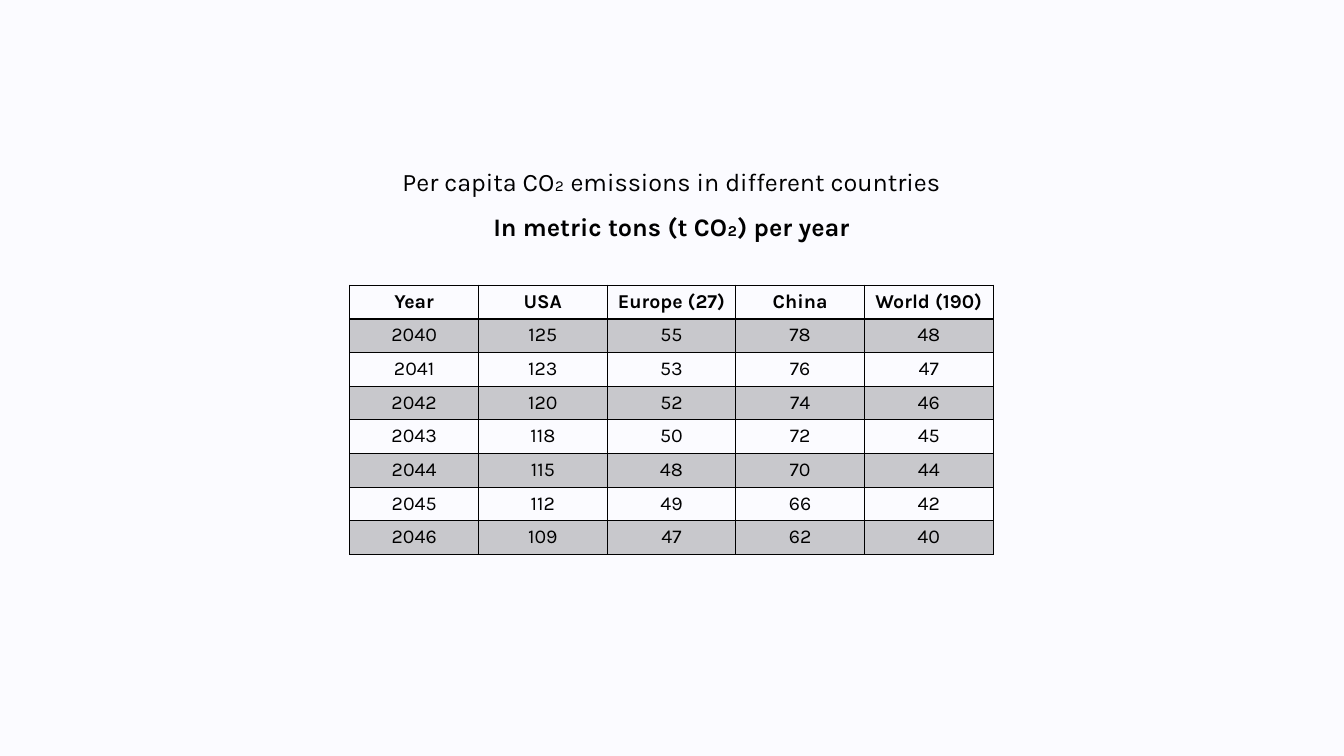
"""Builds a slide with a table of per capita CO₂ emissions."""
import pptx
import pptx.dml.color
import pptx.enum.text
import pptx.oxml
import pptx.oxml.ns
import pptx.util
from pptx.util import Inches

HEADINGS = [
    ("Per capita CO₂ emissions in different countries", 1.6, False),
    ("In metric tons (t CO₂) per year", 2.05, True),
]
ROWS = [
    ("Year", "USA", "Europe (27)", "China", "World (190)"),
    (2040, 125, 55, 78, 48),
    (2041, 123, 53, 76, 47),
    (2042, 120, 52, 74, 46),
    (2043, 118, 50, 72, 45),
    (2044, 115, 48, 70, 44),
    (2045, 112, 49, 66, 42),
    (2046, 109, 47, 62, 40),
]
FONT, BLACK, BACKGROUND = "Karla", "000000", "FBFBFF"
LEFT, WIDTH, HEADING_HEIGHT = 3.47, 6.38, 0.4
TABLE_TOP, TABLE_HEIGHT, ROW_HEIGHT = 2.83, 2.67, 0.28
BAND_OPACITY = 20


def rgb(color):
    return pptx.dml.color.RGBColor.from_string(color)


def write(tf, text, size, bold):
    tf.text = text
    p = tf.paragraphs[0]
    p.alignment = pptx.enum.text.PP_ALIGN.CENTER
    p.space_before = pptx.util.Pt(0)
    p.line_spacing = 1.0
    font = p.runs[0].font
    font.name, font.size, font.bold = FONT, pptx.util.Pt(size), bold
    font.color.rgb = rgb(BLACK)


def add_heading(sp, text, top, bold):
    sp.left, sp.top = Inches(LEFT), Inches(top)
    sp.width, sp.height = Inches(WIDTH), Inches(HEADING_HEIGHT)
    tf = sp.text_frame
    write(tf, text, 18, bold)
    tf.word_wrap = True
    tf.auto_size = pptx.enum.text.MSO_AUTO_SIZE.SHAPE_TO_FIT_TEXT
    tf.vertical_anchor = pptx.enum.text.MSO_ANCHOR.TOP


def set_borders(cell, bottom):
    pr = cell._tc.get_or_add_tcPr()
    for i, (side, points) in enumerate(zip("LRTB", (1, 1, 1, bottom))):
        pr.insert(i, pptx.oxml.parse_xml(
            f'<a:ln{side} {pptx.oxml.ns.nsdecls("a")} w="{pptx.util.Pt(points)}">'
            f'<a:solidFill><a:srgbClr val="{BLACK}"/></a:solidFill></a:ln{side}>'))


def set_fill(cell, banded):
    if not banded:
        cell.fill.background()
        return
    cell.fill.solid()
    cell.fill.fore_color.rgb = rgb(BLACK)
    color = cell._tc.tcPr.find(pptx.oxml.ns.qn("a:solidFill"))[0]
    color.append(pptx.oxml.parse_xml(
        f'<a:alpha {pptx.oxml.ns.nsdecls("a")} val="{BAND_OPACITY * 1000}"/>'))


def add_emissions_table(s):
    frame = s.shapes.add_table(len(ROWS), len(ROWS[0]), Inches(LEFT), Inches(TABLE_TOP),
                               Inches(WIDTH), Inches(TABLE_HEIGHT))
    table = frame.table
    table.first_row = table.horz_banding = False
    for i, values in enumerate(ROWS):
        header = i == 0
        table.rows[i].height = Inches(ROW_HEIGHT)
        for j, value in enumerate(values):
            cell = table.cell(i, j)
            write(cell.text_frame, str(value), 14, header)
            set_fill(cell, i % 2 == 1)
            set_borders(cell, 2 if header else 1)
    frame.height = Inches(TABLE_HEIGHT)


def main():
    prs = pptx.Presentation()
    prs.slide_width, prs.slide_height = Inches(13.33), Inches(7.5)
    s = prs.slides.add_slide(prs.slide_layouts[0])
    s.background.fill.solid()
    s.background.fill.fore_color.rgb = rgb(BACKGROUND)
    for sp, heading in zip(s.placeholders, HEADINGS):
        add_heading(sp, *heading)
    add_emissions_table(s)
    prs.save("out.pptx")


if __name__ == "__main__":
    main()
